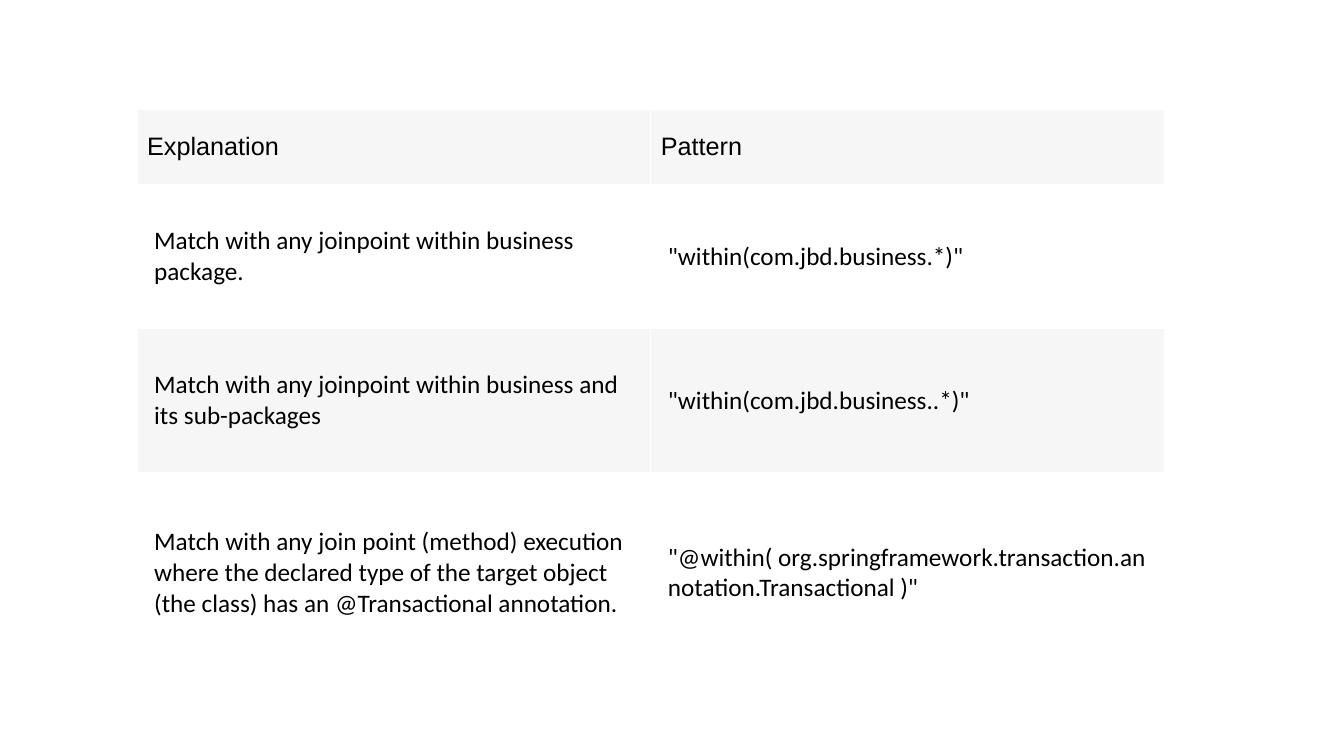
from lxml import etree
from pptx import Presentation
from pptx.dml.color import RGBColor
from pptx.enum.text import MSO_ANCHOR
from pptx.oxml.ns import qn
from pptx.util import Inches, Pt

MIDDLE = MSO_ANCHOR.MIDDLE
BLANK_LAYOUT = 6
BLACK, WHITE, BAND = "000000", "FFFFFF", "F6F6F6"
HEADINGS = ("Explanation", "Pattern")
POINTCUTS = (
    ("Match with any joinpoint within business package.",
     '"within(com.jbd.business.*)"'),
    ("Match with any joinpoint within business and its sub-packages",
     '"within(com.jbd.business..*)"'),
    ("Match with any join point (method) execution where the declared type "
     "of the target object (the class) has an @Transactional annotation.",
     '"@within( org.springframework.transaction.annotation.Transactional )"'),
)
ROW_HEIGHTS = (0.75, 1.43, 1.43, 1.99)
HEADING_INSETS = (0.1, 0.05)
BODY_INSETS = (0.17, 0.08)


def color(value):
    return RGBColor.from_string(value)


def write(frame, text, *, font="Calibri", size=18, ink=BLACK):
    run = frame.paragraphs[0].add_run()
    run.text = text
    run.font.name = font
    run.font.size = Pt(size)
    run.font.bold = False
    run.font.color.rgb = color(ink)


def add_borders(cell, ink=WHITE, width=0.6):
    properties = cell._tc.get_or_add_tcPr()
    for position, side in enumerate(("a:lnL", "a:lnR", "a:lnT", "a:lnB")):
        border = etree.Element(qn(side), w=str(Pt(width)))
        fill = etree.SubElement(border, qn("a:solidFill"))
        etree.SubElement(fill, qn("a:srgbClr"), val=ink)
        properties.insert(position, border)


def format_cell(cell, fill, insets):
    cell.fill.solid()
    cell.fill.fore_color.rgb = color(fill)
    cell.vertical_anchor = MIDDLE
    cell.margin_left = cell.margin_right = Inches(insets[0])
    cell.margin_top = cell.margin_bottom = Inches(insets[1])
    add_borders(cell)


def add_pointcut_table(slide, left, top, width, height):
    entries = (HEADINGS,) + POINTCUTS
    table = slide.shapes.add_table(
        len(entries), len(HEADINGS),
        Inches(left), Inches(top), Inches(width), Inches(height)).table
    table.first_row = False
    table.horz_banding = False
    for column in table.columns:
        column.width = Inches(width / len(HEADINGS))
    for index, entry in enumerate(entries):
        table.rows[index].height = Inches(
            height * ROW_HEIGHTS[index] / sum(ROW_HEIGHTS))
        for column, text in enumerate(entry):
            cell = table.cell(index, column)
            format_cell(cell, WHITE if index % 2 else BAND,
                        BODY_INSETS if index else HEADING_INSETS)
            write(cell.text_frame, text, font="Calibri" if index else "Arial")


def main():
    deck = Presentation()
    deck.slide_width = Inches(13.33)
    deck.slide_height = Inches(7.5)
    slide = deck.slides.add_slide(deck.slide_layouts[BLANK_LAYOUT])
    add_pointcut_table(slide, 1.36, 1.08, 10.19, 5.6)
    deck.save("out.pptx")


if __name__ == "__main__":
    main()
